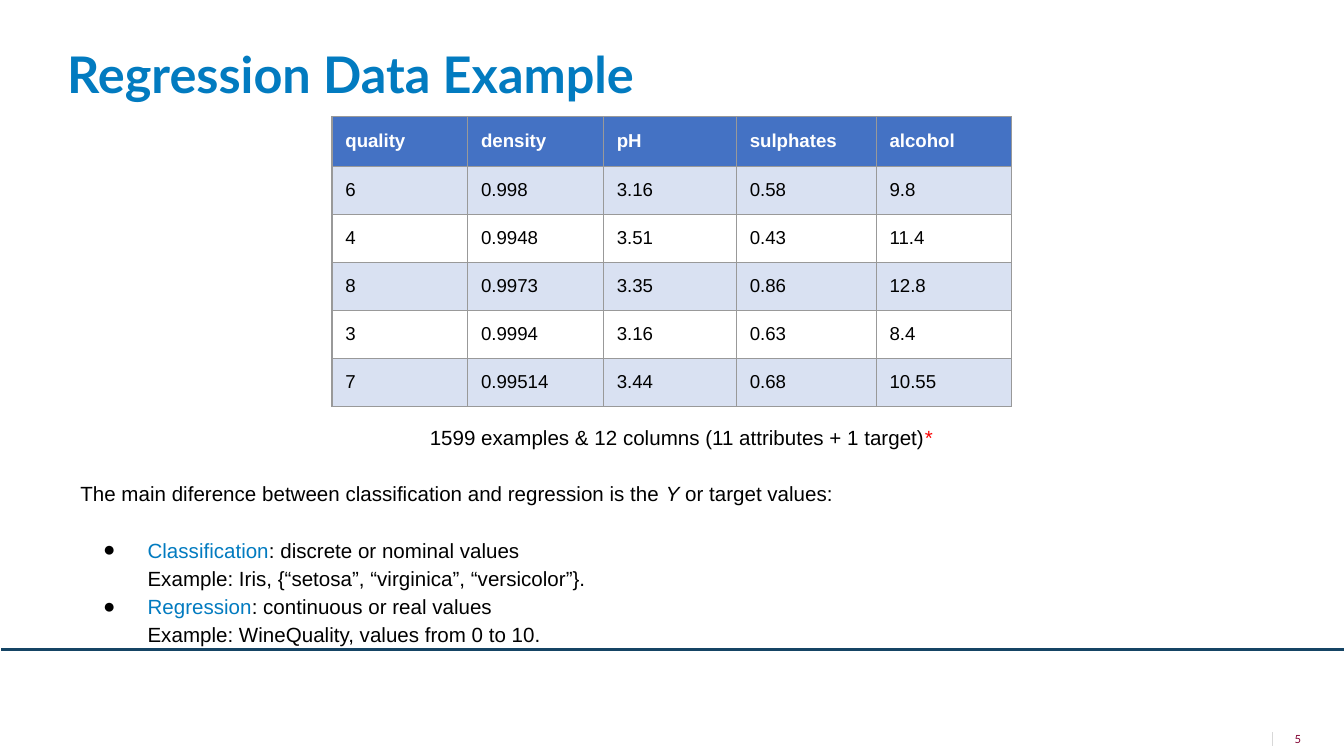
from typing import NamedTuple

from lxml.etree import SubElement
from pptx import Presentation
from pptx.dml.color import RGBColor
from pptx.enum.shapes import MSO_CONNECTOR as Conn
from pptx.enum.text import MSO_ANCHOR as Anchor, MSO_AUTO_SIZE as Fit, PP_ALIGN as Align
from pptx.oxml.ns import qn
from pptx.util import Inches, Pt

BLUE, BLACK, WHITE, RED = "027BC0", "000000", "FFFFFF", "FA0000"
HEAD, BAND, GRID = "4472C4", "D9E1F2", "999999"


class Span(NamedTuple):
    text: str
    color: str = BLACK
    italic: bool = False


class Para(NamedTuple):
    spans: list[Span]
    before: float = 15
    align: Align = Align.LEFT
    bullet: bool = False


class Rule(NamedTuple):
    start: tuple[float, float]
    end: tuple[float, float]
    color: str
    width: float


RULES = [
    Rule((9.47, 5.45), (9.47, 5.55), "D8D8D8", 0.75),
    Rule((0.01, 4.83), (10.01, 4.83), "154464", 1.5),
]

NOTES = [
    Para([Span("1599 examples & 12 columns (11 attributes + 1 target)"), Span("*", RED)],
         before=0, align=Align.CENTER),
    Para([Span("The main diference between classification and regression is the "),
          Span("Y", italic=True), Span(" or target values:")]),
    Para([Span("Classification", BLUE),
          Span(": discrete or nominal values\n"
               "Example: Iris, {“setosa”, “virginica”, “versicolor”}.")], bullet=True),
    Para([Span("Regression", BLUE),
          Span(": continuous or real values\n"
               "Example: WineQuality, values from 0 to 10.")], before=0, bullet=True),
]

ROWS = [
    ["quality", "density", "pH", "sulphates", "alcohol"],
    ["6", "0.998", "3.16", "0.58", "9.8"],
    ["4", "0.9948", "3.51", "0.43", "11.4"],
    ["8", "0.9973", "3.35", "0.86", "12.8"],
    ["3", "0.9994", "3.16", "0.63", "8.4"],
    ["7", "0.99514", "3.44", "0.68", "10.55"],
]
WIDTHS = [1.01, 1.01, 0.99, 1.04, 1.01]
HEIGHTS = [0.37] + [0.31] * 5


def rgb(color: str) -> RGBColor:
    return RGBColor.from_string(color)


def write(para, text: str, *, size: float, color: str = BLACK, font: str = "Arial",
          bold: bool = False, italic: bool = False) -> None:
    """Add formatted text to a paragraph; a newline becomes a line break."""
    for i, line in enumerate(text.split("\n")):
        if i:
            para.add_line_break()
        run = para.add_run()
        run.text = line
        run.font.name, run.font.size = font, Pt(size)
        run.font.bold, run.font.italic = bold, italic
        run.font.color.rgb = rgb(color)


def pad(area, left: float, top: float, right: float, bottom: float) -> None:
    """Set the inner margins of a text frame or a cell."""
    area.margin_left, area.margin_top = Inches(left), Inches(top)
    area.margin_right, area.margin_bottom = Inches(right), Inches(bottom)


def add_box(slide, left: float, top: float, width: float, height: float):
    frame = slide.shapes.add_textbox(
        Inches(left), Inches(top), Inches(width), Inches(height)).text_frame
    frame.word_wrap = True
    return frame


def add_rule(slide, rule: Rule) -> None:
    line = slide.shapes.add_connector(
        Conn.STRAIGHT, *map(Inches, rule.start), *map(Inches, rule.end))
    line.line.color.rgb = rgb(rule.color)
    line.line.width = Pt(rule.width)
    SubElement(line._element.spPr, qn("a:effectLst"))


def add_title(slide, text: str) -> None:
    title = slide.shapes.title
    title.left, title.top = Inches(0.5), Inches(0.32)
    title.width, title.height = Inches(9.02), Inches(0.55)
    frame = title.text_frame
    frame.auto_size, frame.vertical_anchor = Fit.NONE, Anchor.TOP
    pad(frame, 0, 0, 0, 0)
    para = frame.paragraphs[0]
    para.alignment, para.space_after = Align.LEFT, Pt(5)
    write(para, text, size=27, color=BLUE, font="Lato", bold=True)


def add_bullet(para) -> None:
    props = para._p.get_or_add_pPr()
    props.set("marL", str(Inches(0.5)))
    props.set("indent", str(Inches(-0.33)))
    SubElement(SubElement(props, qn("a:buClr")), qn("a:srgbClr"), val=BLACK)
    SubElement(props, qn("a:buFont"), typeface="Arial")
    SubElement(props, qn("a:buChar"), char="●")


def add_notes(slide, notes: list[Para]) -> None:
    frame = add_box(slide, 0.5, 2.45, 9.14, 2.66)
    frame.vertical_anchor = Anchor.MIDDLE
    pad(frame, 0.1, 0.49, 0.1, 0.1)  # deep top margin clears the table
    for i, note in enumerate(notes):
        para = frame.add_paragraph() if i else frame.paragraphs[0]
        if note.bullet:
            add_bullet(para)
        para.alignment, para.line_spacing = note.align, 1.15
        para.space_before = Pt(note.before)
        for span in note.spans:
            write(para, span.text, size=11, color=span.color, italic=span.italic)


def add_borders(cell) -> None:
    props = cell._tc.get_or_add_tcPr()
    for i, side in enumerate(("lnL", "lnR", "lnT", "lnB")):
        line = props.makeelement(qn(f"a:{side}"), {"w": str(Pt(0.7))})
        SubElement(SubElement(line, qn("a:solidFill")), qn("a:srgbClr"), val=GRID)
        props.insert(i, line)


def add_data(slide, rows: list[list[str]]) -> None:
    table = slide.shapes.add_table(
        len(rows), len(WIDTHS), Inches(2.47), Inches(0.87),
        Inches(sum(WIDTHS)), Inches(sum(HEIGHTS))).table
    for col, width in zip(table.columns, WIDTHS):
        col.width = Inches(width)
    for r, (row, height) in enumerate(zip(rows, HEIGHTS)):
        table.rows[r].height = Inches(height)
        fill = BAND if r % 2 else WHITE
        for c, text in enumerate(row):
            cell = table.cell(r, c)
            pad(cell, 0.1, 0.1, 0.1, 0.09 if r else 0.1)
            cell.fill.solid()
            cell.fill.fore_color.rgb = rgb(fill if r else HEAD)
            add_borders(cell)
            write(cell.text_frame.paragraphs[0], text, size=10,
                  color=BLACK if r else WHITE, bold=r == 0)


def add_number(slide, text: str) -> None:
    frame = add_box(slide, 9.44, 5.41, 0.24, 0.3)
    pad(frame, 0, 0.04, 0, 0.04)
    para = frame.paragraphs[0]
    para.alignment = Align.RIGHT
    write(para, text, size=6, color="810131", font="Lato")


def main() -> None:
    deck = Presentation()
    deck.slide_width = Inches(10)
    deck.slide_height = deck.slide_width * 9 // 16
    slide = deck.slides.add_slide(deck.slide_layouts[5])
    for rule in RULES:
        add_rule(slide, rule)
    add_number(slide, "5")
    add_title(slide, "Regression Data Example")
    add_notes(slide, NOTES)
    add_data(slide, ROWS)
    deck.save("out.pptx")


if __name__ == "__main__":
    main()
